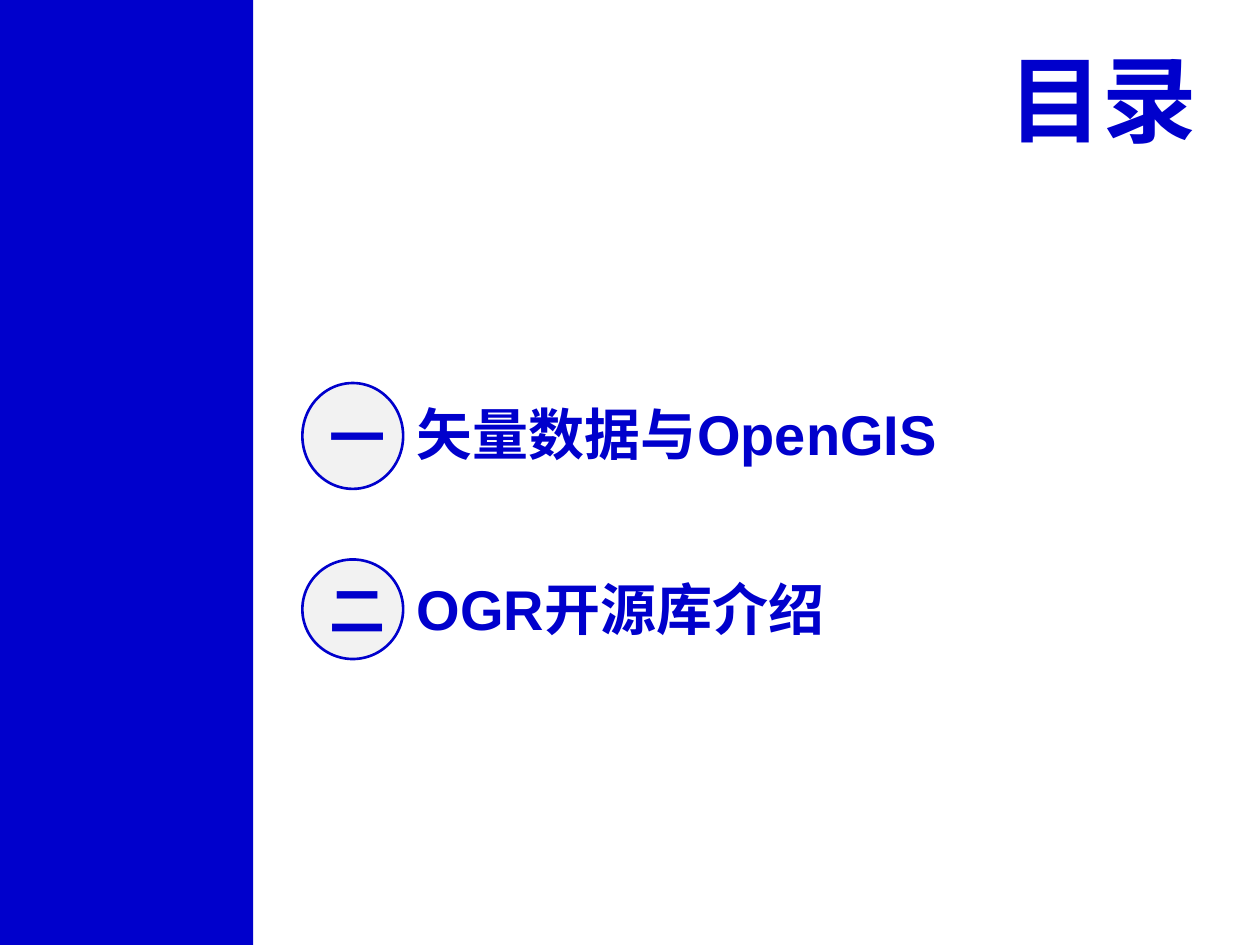
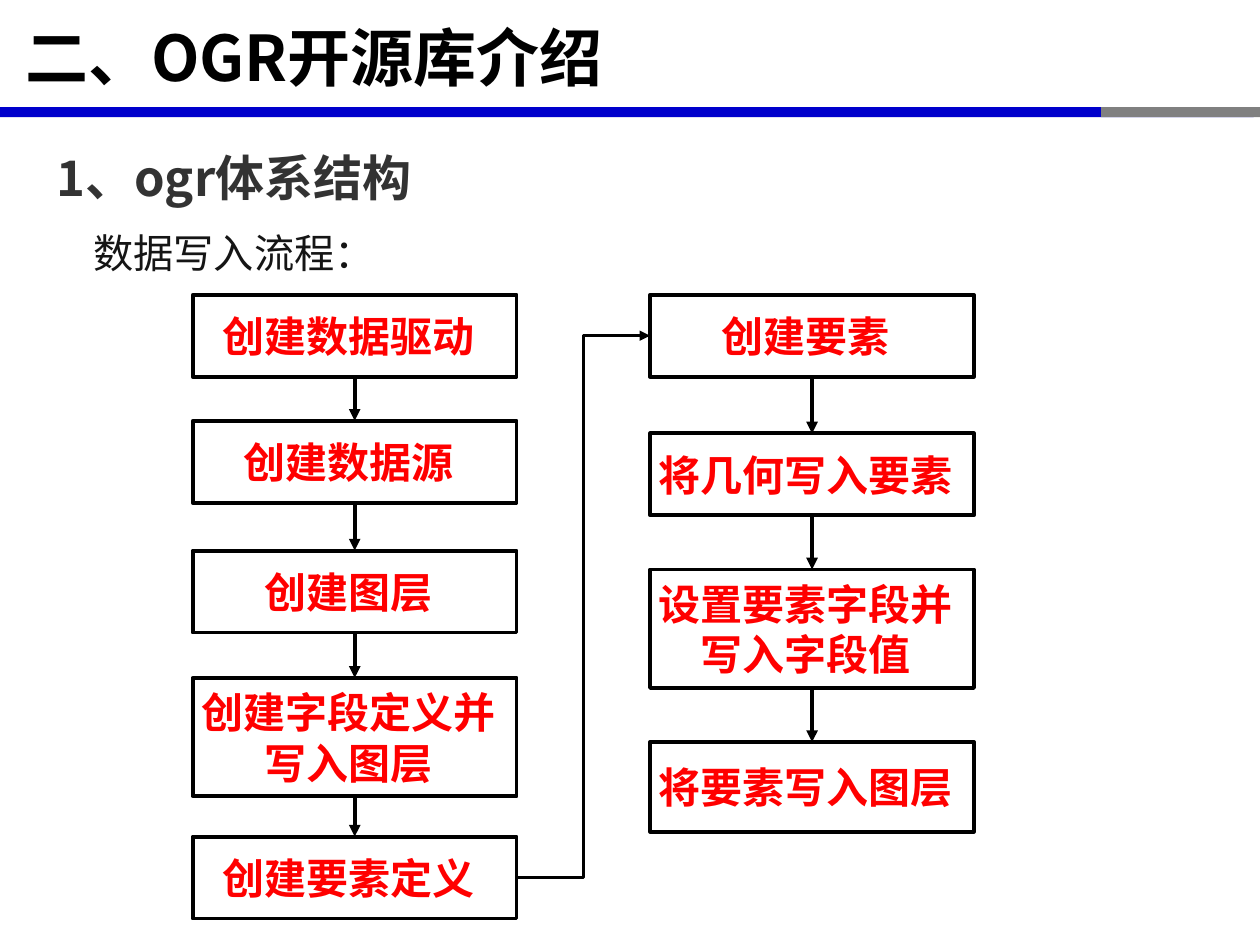
from dataclasses import dataclass
from itertools import pairwise
from typing import NamedTuple

from lxml import etree
from pptx import Presentation
from pptx.dml.color import RGBColor
from pptx.enum.shapes import MSO_CONNECTOR as Connector, MSO_SHAPE as Preset
from pptx.enum.text import MSO_ANCHOR as Anchor, PP_ALIGN as Align
from pptx.oxml.ns import qn
from pptx.util import Inches, Pt


@dataclass(frozen=True)
class Theme:
    blue: str = "0000CC"
    gray: str = "808080"
    pale: str = "F2F2F2"
    black: str = "000000"
    heading: str = "333333"
    lead: str = "151515"
    red: str = "FF0000"
    latin: str = "Arial"
    cjk: str = "Noto Sans CJK SC"
    contents_size: int = 54
    title_size: int = 36
    entry_size: int = 32
    heading_size: int = 28
    step_size: int = 24
    lead_size: int = 23


THEME = Theme()


class Box(NamedTuple):
    left: float
    top: float
    width: float
    height: float

    def lengths(self) -> list:
        return [Inches(value) for value in self]


class Style(NamedTuple):
    size: int
    color: str
    font: str = THEME.cjk
    bold: bool = True
    align: Align = Align.LEFT
    spacing: float = 1.0


class Entry(NamedTuple):
    number: str
    label: str
    circle: Box
    label_box: Box


class Step(NamedTuple):
    text: str
    top: float
    height: float = 0.65


class Column(NamedTuple):
    left: float
    steps: tuple


# Text styles
CONTENTS = Style(THEME.contents_size, THEME.blue, THEME.latin, align=Align.RIGHT)
NUMBER = Style(THEME.entry_size, THEME.blue, align=Align.CENTER)
LABEL = Style(THEME.entry_size, THEME.blue, THEME.latin)
TITLE = Style(THEME.title_size, THEME.black)
HEADING = Style(THEME.heading_size, THEME.heading, spacing=1.5)
LEAD = Style(THEME.lead_size, THEME.lead, bold=False, spacing=2.0)
STEP = Style(THEME.step_size, THEME.red, align=Align.CENTER)

# Content
ENTRIES = (
    Entry("一", "矢量数据与OpenGIS", Box(2.4, 3.04, 0.8, 0.84), Box(3.21, 3.12, 4.73, 0.64)),
    Entry("二", "OGR开源库介绍", Box(2.4, 4.44, 0.8, 0.79), Box(3.21, 4.51, 4.83, 0.64)),
)
STEP_WIDTH = 2.57
COLUMNS = (
    Column(1.53, (
        Step("创建数据驱动", 2.34),
        Step("创建数据源", 3.34),
        Step("创建图层", 4.37),
        Step("创建字段定义并写入图层", 5.38, 0.94),
        Step("创建要素定义", 6.64),
    )),
    Column(5.16, (
        Step("创建要素", 2.34),
        Step("将几何写入要素", 3.44),
        Step("设置要素字段并写入字段值", 4.52, 0.94),
        Step("将要素写入图层", 5.89, 0.71),
    )),
)


def write(shape, text: str, style: Style) -> None:
    frame = shape.text_frame
    frame.word_wrap = True
    frame.vertical_anchor = Anchor.MIDDLE
    paragraph = frame.paragraphs[0]
    paragraph.alignment = style.align
    paragraph.line_spacing = style.spacing
    run = paragraph.add_run()
    run.text = text
    font = run.font
    font.size, font.bold, font.name = Pt(style.size), style.bold, style.font
    font.color.rgb = RGBColor.from_string(style.color)
    east_asian = etree.SubElement(font._element, qn("a:ea"))
    east_asian.set("typeface", THEME.cjk)


def add_label(slide, box: Box, text: str, style: Style):
    label = slide.shapes.add_textbox(*box.lengths())
    write(label, text, style)
    return label


def add_figure(slide, preset: Preset, box: Box, fill: str | None = None,
               line: str | None = None, weight: float = 1.5):
    figure = slide.shapes.add_shape(preset, *box.lengths())
    figure.shadow.inherit = False
    if fill:
        figure.fill.solid()
        figure.fill.fore_color.rgb = RGBColor.from_string(fill)
    else:
        figure.fill.background()
    if line:
        figure.line.color.rgb = RGBColor.from_string(line)
        figure.line.width = Pt(weight)
    else:
        figure.line.fill.background()
    return figure


def add_arrow(slide, kind: Connector, start, start_side: int,
              end, end_side: int, weight: float) -> None:
    arrow = slide.shapes.add_connector(kind, 0, 0, 0, 0)
    arrow.begin_connect(start, start_side)
    arrow.end_connect(end, end_side)
    arrow.line.color.rgb = RGBColor.from_string(THEME.black)
    arrow.line.width = Pt(weight)
    etree.SubElement(arrow.line._get_or_add_ln(), qn("a:tailEnd")).set("type", "triangle")
    etree.SubElement(arrow._element.spPr, qn("a:effectLst"))


def add_title_band(slide, title: str) -> None:
    add_figure(slide, Preset.RECTANGLE, Box(0, 0.85, 9.95, 0.08), THEME.blue)
    add_figure(slide, Preset.RECTANGLE, Box(8.74, 0.85, 1.26, 0.08), THEME.gray)
    label = add_label(slide, Box(0, 0.01, 9.86, 0.87), title, TITLE)
    label.text_frame.margin_left = Inches(0.2)


def add_step(slide, left: float, step: Step):
    box = Box(left, step.top, STEP_WIDTH, step.height)
    figure = add_figure(slide, Preset.RECTANGLE, box, line=THEME.black, weight=2.25)
    figure.text_frame.margin_left = 0
    write(figure, step.text, STEP)
    return figure


def build_contents(slide) -> None:
    add_figure(slide, Preset.RECTANGLE, Box(0, 0, 2.01, 7.5), THEME.blue)
    add_label(slide, Box(7.84, 0.27, 1.76, 1.01), "目录", CONTENTS)
    for entry in ENTRIES:
        circle = add_figure(slide, Preset.OVAL, entry.circle, THEME.pale, THEME.blue)
        write(circle, entry.number, NUMBER)
        add_label(slide, entry.label_box, entry.label, LABEL)


def build_write_flow(slide) -> None:
    add_title_band(slide, "二、OGR开源库介绍")
    add_label(slide, Box(0.35, 0.93, 9.31, 0.72), "1、ogr体系结构", HEADING)
    add_label(slide, Box(0.64, 1.43, 3.03, 0.76), "数据写入流程：", LEAD)

    # Steps run down each column, then on to the top of the next
    flows = [[add_step(slide, column.left, step) for step in column.steps]
             for column in COLUMNS]
    for flow in flows:
        for upper, lower in pairwise(flow):
            add_arrow(slide, Connector.STRAIGHT, upper, 2, lower, 0, 2.25)
    for flow, next_flow in pairwise(flows):
        add_arrow(slide, Connector.ELBOW, flow[-1], 3, next_flow[0], 1, 1.5)


def main() -> None:
    deck = Presentation()
    deck.slide_width, deck.slide_height = Inches(10), Inches(7.5)
    for build in (build_contents, build_write_flow):
        build(deck.slides.add_slide(deck.slide_layouts[6]))
    deck.save("out.pptx")


if __name__ == "__main__":
    main()
